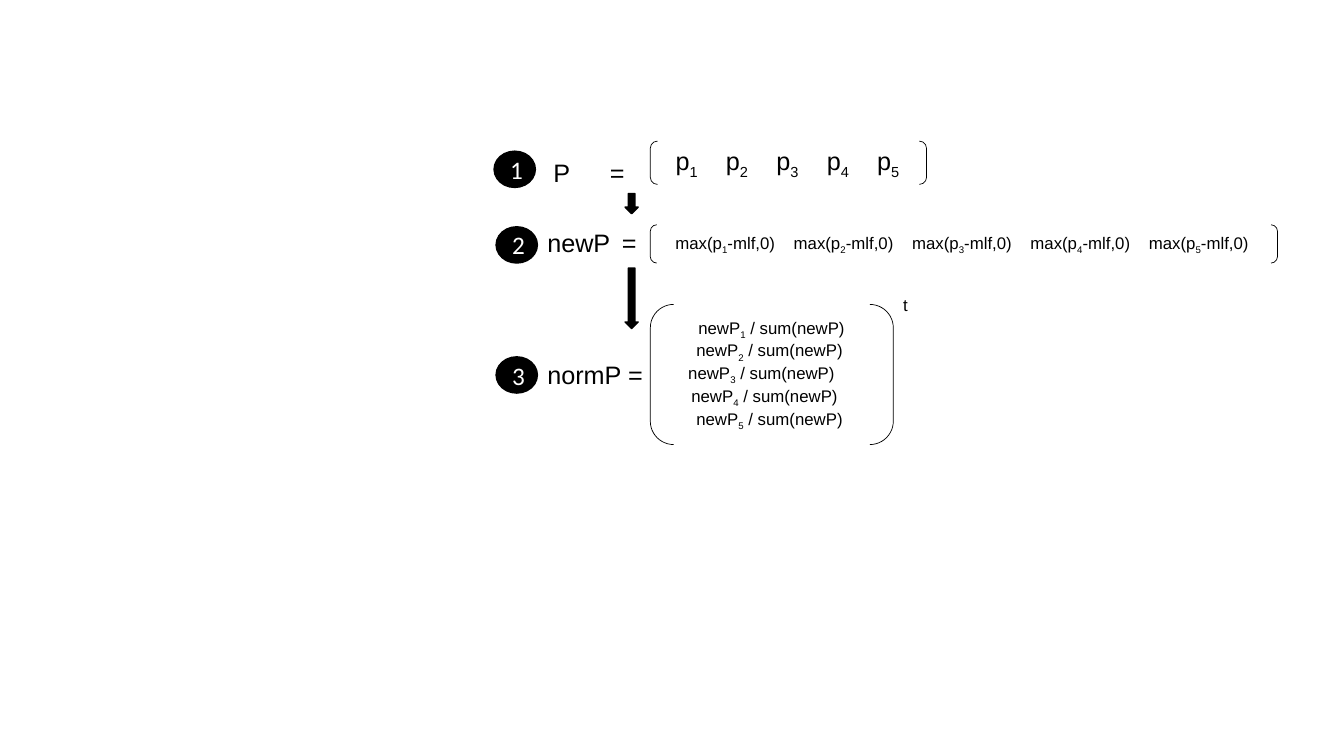
"""Build a slide showing three steps that normalise a probability vector."""
import lxml.etree
import pptx
import pptx.dml.color
import pptx.enum.shapes
import pptx.enum.text
import pptx.oxml.ns
import pptx.util

COLORS = {"ink": "000000", "paper": "FFFFFF"}
SHAPES = pptx.enum.shapes.MSO_SHAPE
ALIGN = pptx.enum.text.PP_ALIGN
INDICES = range(1, 6)

BRACKET_LEFT = 6.45
ENTRY_INSET = 0.23
VECTORS = [
    ((1.4, 2.74, 0.43), "\t".join(f"p_{i}" for i in INDICES), 18, 0.5),
    ((2.23, 6.22, 0.38), "\t".join(f"max(p_{i}-mlf,0)" for i in INDICES), 12, 1.174),
]
COLUMN = (3.02, 2.41, 1.39)
COLUMN_ROWS = [f"newP_{i} / sum(newP)" for i in INDICES]
COLUMN_INDENTS = [0.31, 0.29, 0.21, 0.24, 0.29]
LABELS = [
    ((5.39, 1.51, 1.3, 0.4), "P\t=", 18, [0.56]),
    ((5.33, 2.21, 1.3, 0.4), "newP\t=", 18, [0.74]),
    ((5.33, 3.52, 1.3, 0.4), "normP =", 18, []),
    ((8.86, 2.87, 0.3, 0.3), "t", 12, []),
]
ARROWS = [(1.92, 0.2), (2.66, 0.6)]
STEPS = [(4.9, 1.5), (4.92, 2.25), (4.92, 3.54)]


def color(name):
    return pptx.dml.color.RGBColor.from_string(COLORS[name])


def inches(values):
    return [pptx.util.Inches(value) for value in values]


def add_outline(slide, kind, box, width, filled=False):
    shape = slide.shapes.add_shape(kind, *inches(box))
    shape.shadow.inherit = False
    if filled:
        shape.fill.solid()
        shape.fill.fore_color.rgb = color("ink")
    else:
        shape.fill.background()
    shape.line.color.rgb = color("ink")
    shape.line.width = pptx.util.Pt(width)
    return shape


def write(paragraph, text, size, align=ALIGN.LEFT, font="Arial", ink="ink", tabs=(), indent=0):
    paragraph.alignment = align
    properties = paragraph._p.get_or_add_pPr()
    if indent:
        properties.set("marL", str(pptx.util.Inches(indent)))
    if tabs:
        stops = lxml.etree.SubElement(properties, pptx.oxml.ns.qn("a:tabLst"))
        for position in tabs:
            lxml.etree.SubElement(stops, pptx.oxml.ns.qn("a:tab"),
                                  pos=str(pptx.util.Inches(position)), algn="l")
    paragraph.font.size = pptx.util.Pt(size)
    paragraph.font.name = font
    paragraph.font.color.rgb = color(ink)
    first, *others = text.split("_")
    paragraph.add_run().text = first
    for part in others:
        subscript = paragraph.add_run()
        subscript.text = part[0]
        subscript._r.get_or_add_rPr().set("baseline", "-25000")
        if part[1:]:
            paragraph.add_run().text = part[1:]


def main():
    deck = pptx.Presentation()
    deck.slide_width, deck.slide_height = inches((13.33, 7.5))
    slide = deck.slides.add_slide(deck.slide_layouts[6])

    for box, entries, size, pitch in VECTORS:
        vector = add_outline(slide, SHAPES.DOUBLE_BRACKET, (BRACKET_LEFT, *box), 0.5)
        vector.text_frame.margin_left = pptx.util.Inches(ENTRY_INSET)
        write(vector.text_frame.paragraphs[0], entries, size,
              tabs=[pitch * i for i in INDICES[:-1]])

    column = add_outline(slide, SHAPES.DOUBLE_BRACKET, (BRACKET_LEFT, *COLUMN), 0.5).text_frame
    for number, (row, indent) in enumerate(zip(COLUMN_ROWS, COLUMN_INDENTS)):
        paragraph = column.add_paragraph() if number else column.paragraphs[0]
        write(paragraph, row, 12, indent=indent)

    for box, text, size, tabs in LABELS:
        label = slide.shapes.add_textbox(*inches(box)).text_frame
        label.word_wrap = True
        write(label.paragraphs[0], text, size, tabs=tabs)

    for top, height in ARROWS:
        add_outline(slide, SHAPES.DOWN_ARROW, (6.2, top, 0.13, height), 1, filled=True)

    for number, (left, top) in enumerate(STEPS, 1):
        step = add_outline(slide, SHAPES.OVAL, (left, top, 0.41, 0.36), 1, filled=True)
        write(step.text_frame.paragraphs[0], str(number), 18, ALIGN.CENTER, "Calibri", "paper")

    deck.save("out.pptx")


if __name__ == "__main__":
    main()
